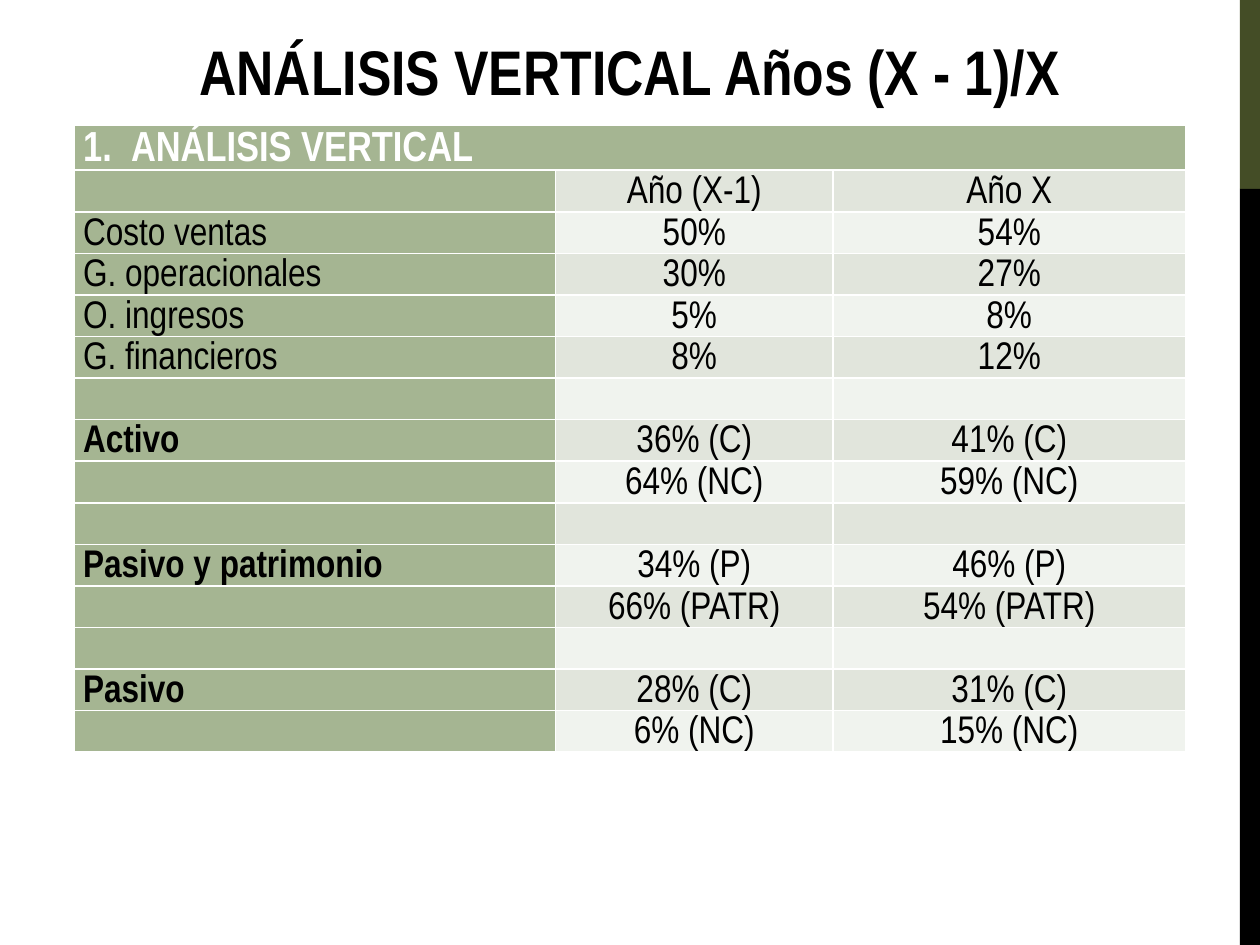
from pptx import Presentation
from pptx.dml.color import RGBColor
from pptx.enum.shapes import MSO_SHAPE
from pptx.enum.text import MSO_ANCHOR, PP_ALIGN
from pptx.oxml.ns import qn
from pptx.util import Inches, Pt
from lxml.etree import SubElement

COLORS = {
    "olive": "444D26",
    "black": "000000",
    "white": "FFFFFF",
    "sage": "A5B592",
    "band_dark": "E1E5DC",
    "band_light": "F0F3EE",
}
FONT = "Arial Narrow"
HEADING = "ANÁLISIS VERTICAL"
ROWS = [
    ("", "Año (X-1)", "Año X"),
    ("Costo ventas", "50%", "54%"),
    ("G. operacionales", "30%", "27%"),
    ("O. ingresos", "5%", "8%"),
    ("G. financieros", "8%", "12%"),
    ("", "", ""),
    ("Activo", "36% (C)", "41% (C)"),
    ("", "64% (NC)", "59% (NC)"),
    ("", "", ""),
    ("Pasivo y patrimonio", "34% (P)", "46% (P)"),
    ("", "66% (PATR)", "54% (PATR)"),
    ("", "", ""),
    ("Pasivo", "28% (C)", "31% (C)"),
    ("", "6% (NC)", "15% (NC)"),
]
BOLD_LABELS = {"Activo", "Pasivo y patrimonio", "Pasivo"}
COLUMN_WIDTHS = (3.82, 2.2, 2.8)
HEADING_HEIGHT, ROW_HEIGHT = 0.35, 0.33


def color(name):
    return RGBColor.from_string(COLORS[name])


def format_paragraph(paragraph, size, color_name, bold, alignment):
    paragraph.alignment = alignment
    paragraph.font.name = FONT
    paragraph.font.size = Pt(size)
    paragraph.font.bold = bold
    paragraph.font.color.rgb = color(color_name)


def add_sidebar(slide, left, top, width, height):
    accent_height = height * 0.2
    parts = [("olive", top, accent_height),
             ("black", top + accent_height, height - accent_height)]
    for color_name, part_top, part_height in parts:
        shape = slide.shapes.add_shape(
            MSO_SHAPE.RECTANGLE, Inches(left), Inches(part_top),
            Inches(width), Inches(part_height))
        shape.shadow.inherit = False
        shape.fill.solid()
        shape.fill.fore_color.rgb = color(color_name)
        shape.line.fill.background()


def place_title(slide, left, top, width, height):
    title = slide.shapes.title
    title.left, title.top = Inches(left), Inches(top)
    title.width, title.height = Inches(width), Inches(height)
    title.text_frame.text = "ANÁLISIS VERTICAL Años (X - 1)/X"
    title.text_frame.vertical_anchor = MSO_ANCHOR.TOP
    paragraph = title.text_frame.paragraphs[0]
    paragraph.space_after = Pt(6)
    format_paragraph(paragraph, 36, "black", True, PP_ALIGN.CENTER)


def number_paragraph(paragraph, indent):
    properties = paragraph._p.get_or_add_pPr()
    properties.set("marL", str(Inches(indent)))
    properties.set("indent", str(-Inches(indent)))
    SubElement(properties, qn("a:buFont"), typeface="+mj-lt")
    SubElement(properties, qn("a:buAutoNum"), type="arabicPeriod")


def fill_cell(cell, text, fill_name):
    cell.margin_left = cell.margin_right = Inches(0.07)
    cell.margin_top = cell.margin_bottom = 0
    cell.fill.solid()
    cell.fill.fore_color.rgb = color(fill_name)
    cell.text = text
    paragraph = cell.text_frame.paragraphs[0]
    paragraph.line_spacing = 1.15
    return paragraph


def add_analysis_table(slide, left, top, width):
    height = HEADING_HEIGHT + ROW_HEIGHT * len(ROWS)
    table = slide.shapes.add_table(
        len(ROWS) + 1, len(COLUMN_WIDTHS), Inches(left), Inches(top),
        Inches(width), Inches(height)).table
    for column, column_width in zip(table.columns, COLUMN_WIDTHS):
        column.width = Inches(column_width)
    for index, row in enumerate(table.rows):
        row.height = Inches(ROW_HEIGHT if index else HEADING_HEIGHT)

    # Numbered heading across all columns
    table.cell(0, 0).merge(table.cell(0, len(COLUMN_WIDTHS) - 1))
    paragraph = fill_cell(table.cell(0, 0), HEADING, "sage")
    number_paragraph(paragraph, 0.38)
    format_paragraph(paragraph, 24, "white", True, PP_ALIGN.LEFT)

    # Labels on the left, banded values on the right
    for row_index, values in enumerate(ROWS, start=1):
        band = "band_dark" if row_index % 2 else "band_light"
        for column_index, text in enumerate(values):
            is_label = column_index == 0
            paragraph = fill_cell(table.cell(row_index, column_index), text,
                                  "sage" if is_label else band)
            format_paragraph(paragraph, 22, "black", text in BOLD_LABELS,
                             PP_ALIGN.LEFT if is_label else PP_ALIGN.CENTER)


def main():
    presentation = Presentation()
    presentation.slide_width = Inches(10)
    presentation.slide_height = Inches(7.5)
    slide = presentation.slides.add_slide(presentation.slide_layouts[5])
    add_sidebar(slide, 9.84, 0, 0.16, 7.5)
    add_analysis_table(slide, 0.59, 0.99, sum(COLUMN_WIDTHS))
    place_title(slide, 0.67, 0.21, 8.66, 1.02)
    presentation.save("out.pptx")


if __name__ == "__main__":
    main()
